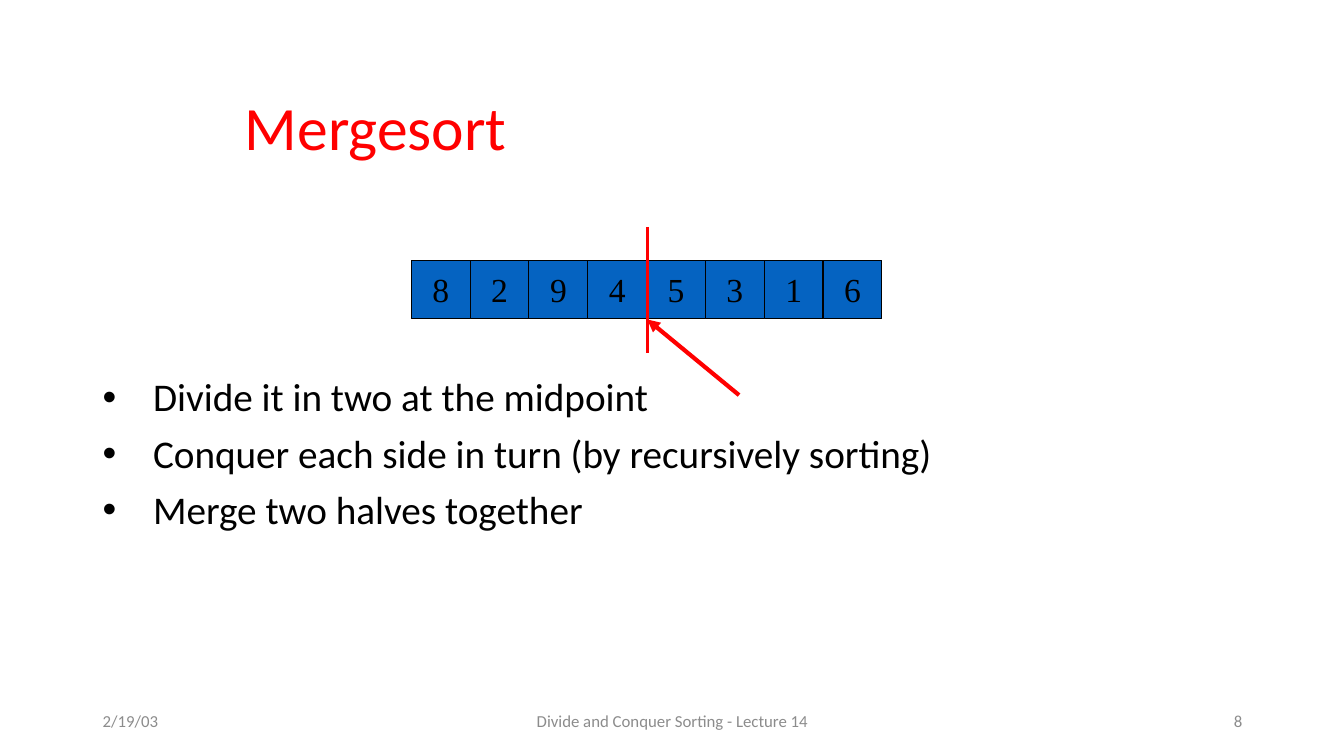
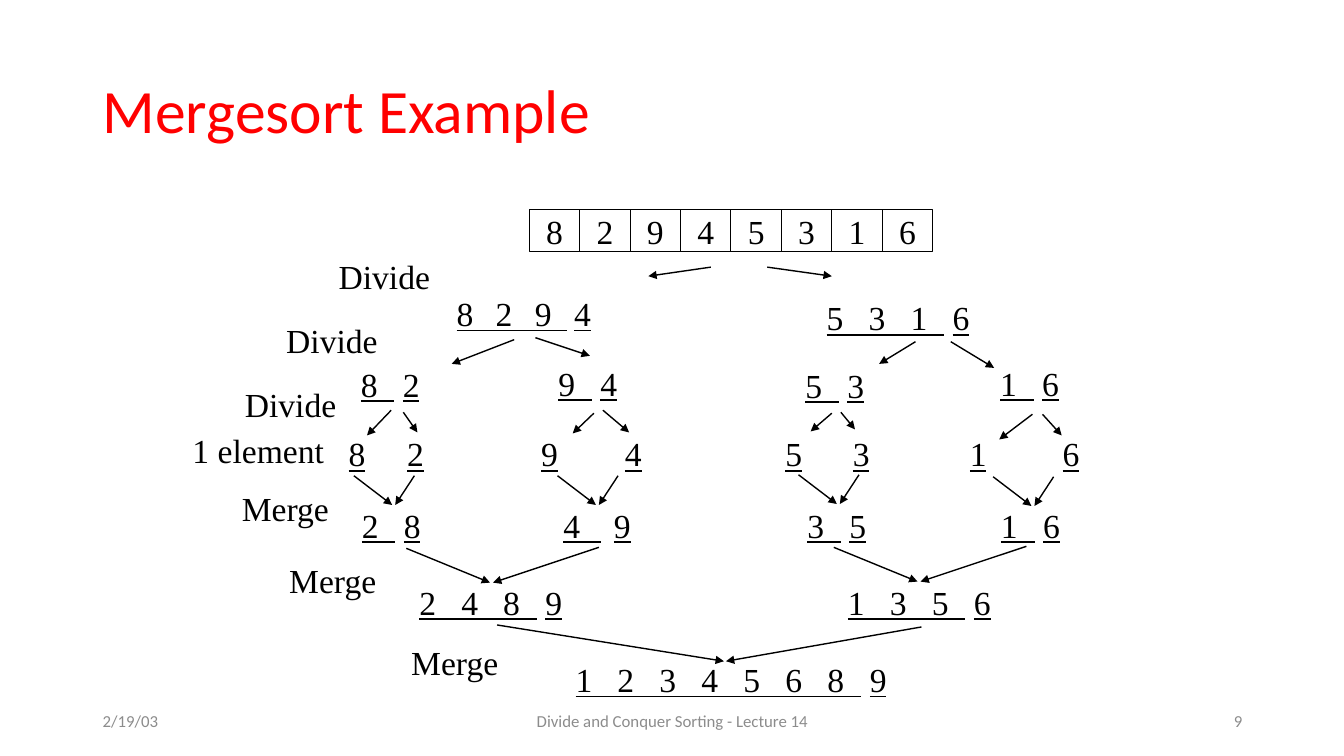
from lxml.etree import SubElement
from pptx import Presentation
from pptx.dml.color import RGBColor
from pptx.enum.shapes import MSO_CONNECTOR as Conn, MSO_SHAPE as Shape
from pptx.enum.text import MSO_ANCHOR as Anchor, PP_ALIGN as Align
from pptx.oxml.ns import qn
from pptx.util import Inches, Pt

RED = RGBColor(0xFF, 0, 0)
BLUE = RGBColor(0x05, 0x63, 0xC1)
BLACK = RGBColor(0, 0, 0)
GRAY = RGBColor(0x8C, 0x8C, 0x8C)
SANS, SERIF = "Calibri", "Times New Roman"
DIGITS = "82945316"


def write(para, text, font=SERIF, size=24, color=BLACK, line=False, track=0):
    """Add a run; track is extra space after each character, in points."""
    run = para.add_run()
    run.text = text
    run.font.name, run.font.size = font, Pt(size)
    run.font.color.rgb = color
    if line:
        run.font.underline = True
    if track:
        run._r.get_or_add_rPr().set("spc", str(round(track * 100)))


class Deck:
    def __init__(self):
        self.prs = Presentation()
        self.prs.slide_width, self.prs.slide_height = Inches(13.33), Inches(7.5)

    def page(self, title, box, num):
        self.slide = self.prs.slides.add_slide(self.prs.slide_layouts[6])
        # Title
        para = self.frame(*box, anchor=Anchor.MIDDLE).paragraphs[0]
        para.line_spacing = 0.9
        write(para, title, SANS, 44, RED)
        # Footer
        for x, w, text, align in [
                (0.92, 3, "2/19/03", Align.LEFT),
                (4.42, 4.5, "Divide and Conquer Sorting - Lecture 14", Align.CENTER),
                (9.42, 3, str(num), Align.RIGHT)]:
            para = self.frame(x, 6.95, w, 0.4, Anchor.MIDDLE).paragraphs[0]
            para.alignment = align
            write(para, text, SANS, 12, GRAY)

    def frame(self, x, y, w, h, anchor=Anchor.TOP):
        box = self.slide.shapes.add_textbox(Inches(x), Inches(y), Inches(w), Inches(h))
        frame = box.text_frame
        frame.word_wrap = True
        frame.vertical_anchor = anchor
        return frame

    def label(self, x, y, w, text):
        write(self.frame(x, y, w, 0.5).paragraphs[0], text)

    def group(self, x, y, text, track=6):
        """Underlined digits, spread by letter spacing."""
        count = len(text)
        gaps = count // 2
        width = (12 * (count - gaps) + gaps * (6 + 2 * track)) / 72
        para = self.frame(x, y, width + 0.22, 0.5).paragraphs[0]
        if gaps:
            write(para, text[:-1], line=True, track=track)
        write(para, text[-1], line=True)

    def bullets(self, x, y, w, h, items):
        frame = self.frame(x, y, w, h)
        for i, item in enumerate(items):
            para = frame.add_paragraph() if i else frame.paragraphs[0]
            para.line_spacing, para.space_before = 0.9, Pt(10)
            props = para._p.get_or_add_pPr()
            props.set("marL", str(Inches(0.5)))
            props.set("indent", str(-Inches(0.5)))
            SubElement(props, qn("a:buFont")).set("typeface", "Arial")
            SubElement(props, qn("a:buChar")).set("char", "•")
            write(para, item, SANS, 28)

    def cells(self, x, y, w, h, fill=None):
        for i, digit in enumerate(DIGITS):
            cell = self.slide.shapes.add_shape(
                Shape.RECTANGLE, Inches(x + i * w), Inches(y), Inches(w), Inches(h))
            cell.shadow.inherit = False
            if fill is None:
                cell.fill.background()
            else:
                cell.fill.solid()
                cell.fill.fore_color.rgb = fill
            cell.line.color.rgb, cell.line.width = BLACK, Pt(0.75)
            frame = cell.text_frame
            frame.word_wrap = False
            frame.vertical_anchor = Anchor.MIDDLE
            frame.paragraphs[0].alignment = Align.CENTER
            write(frame.paragraphs[0], digit)

    def line(self, x1, y1, x2, y2, color=BLACK, width=1, head=True):
        line = self.slide.shapes.add_connector(
            Conn.STRAIGHT, Inches(x1), Inches(y1), Inches(x2), Inches(y2))
        line.line.color.rgb, line.line.width = color, Pt(width)
        if head:
            SubElement(line.line._get_or_add_ln(), qn("a:tailEnd")).set("type", "triangle")
        SubElement(line._element.spPr, qn("a:effectLst"))


deck = Deck()

# Slide 1: the three steps
deck.page("Mergesort", (2.33, 0.67, 8.5, 1.25), 8)
deck.bullets(0.92, 3.7, 11.5, 3.06, [
    "Divide it in two at the midpoint",
    "Conquer each side in turn (by recursively sorting)",
    "Merge two halves together"])
deck.line(7.33, 3.92, 6.42, 3.17, RED, 3)
deck.cells(4.08, 2.58, 7 / 12, 7 / 12, BLUE)
deck.line(6.42, 2.25, 6.42, 3.5, RED, 2.25, head=False)

# Slide 2: the tree of splits and merges
deck.page("Mergesort Example", (0.92, 0.4, 11.5, 1.45), 9)
deck.cells(5.25, 2.08, 0.5, 0.42)

# Groups being divided
deck.group(4.43, 2.86, "8 2 9 4", track=5)
deck.group(8.1, 2.9, "5 3 1 6")
for x, y, text in [(3.48, 3.56, "8 2"), (5.44, 3.55, "9 4"),
                   (7.89, 3.57, "5 3"), (9.82, 3.55, "1 6")]:
    deck.group(x, y, text)

# Single elements
for x, digit in zip([3.36, 3.94, 5.27, 6.1, 7.69, 8.36, 9.52, 10.44], DIGITS):
    deck.group(x, 4.25, digit)

# Groups being merged
for x, y, text, track in [
        (3.49, 4.96, "2 8", 6), (5.49, 4.96, "4 9", 9),
        (7.91, 4.96, "3 5", 6), (9.83, 4.96, "1 6", 6),
        (4.06, 5.72, "2 4 8 9", 6), (8.31, 5.72, "1 3 5 6", 6),
        (5.61, 6.49, "1 2 3 4 5 6 8 9", 6)]:
    deck.group(x, y, text, track)

# Arrows of the splits
for ends in [
        (7.05, 2.65, 6.43, 2.74), (7.61, 2.65, 8.25, 2.74),
        (5.1, 3.37, 4.48, 3.61), (5.31, 3.35, 5.85, 3.53),
        (9.08, 3.39, 8.72, 3.61), (9.43, 3.39, 9.86, 3.65),
        (3.88, 4.07, 3.64, 4.32), (4, 4.09, 4.14, 4.29),
        (5.89, 4.1, 5.68, 4.3), (5.98, 4.07, 6.24, 4.29),
        (8.25, 4.1, 8.04, 4.28), (8.34, 4.09, 8.48, 4.26),
        (10.24, 4.11, 9.91, 4.36), (10.34, 4.11, 10.53, 4.32)]:
    deck.line(*ends)

# Arrows of the merges
for x, y in [(3.51, 4.72), (5.53, 4.72), (7.92, 4.71), (9.85, 4.73)]:
    deck.line(x, y, x + 0.38, y + 0.29)
    deck.line(x + 0.6, y, x + 0.41, y + 0.29)
for x, y in [(4.03, 5.44), (8.27, 5.43)]:
    deck.line(x, y, x + 0.83, y + 0.34)
    deck.line(x + 1.91, y - 0.01, x + 0.86, y + 0.34)
deck.line(4.93, 6.2, 7.18, 6.56)
deck.line(9.14, 6.22, 7.2, 6.56)

# Names of the steps
for x, y in [(3.26, 2.49), (2.74, 3.12), (2.33, 3.76)]:
    deck.label(x, y, 1.15, "Divide")
deck.label(1.81, 4.22, 1.55, "1 element")
for x, y in [(2.3, 4.79), (2.77, 5.51), (3.98, 6.32)]:
    deck.label(x, y, 1.1, "Merge")

deck.prs.save("out.pptx")
